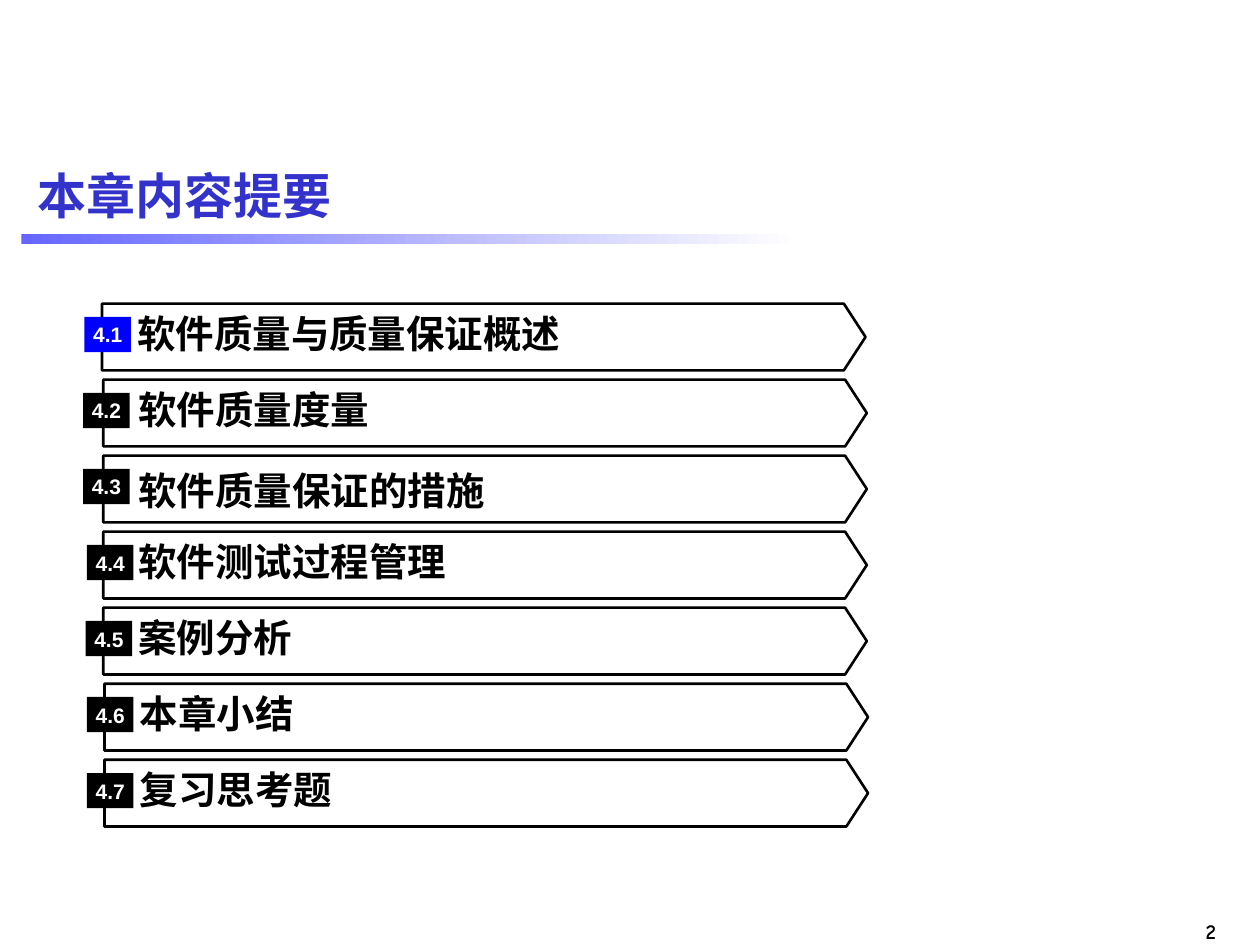
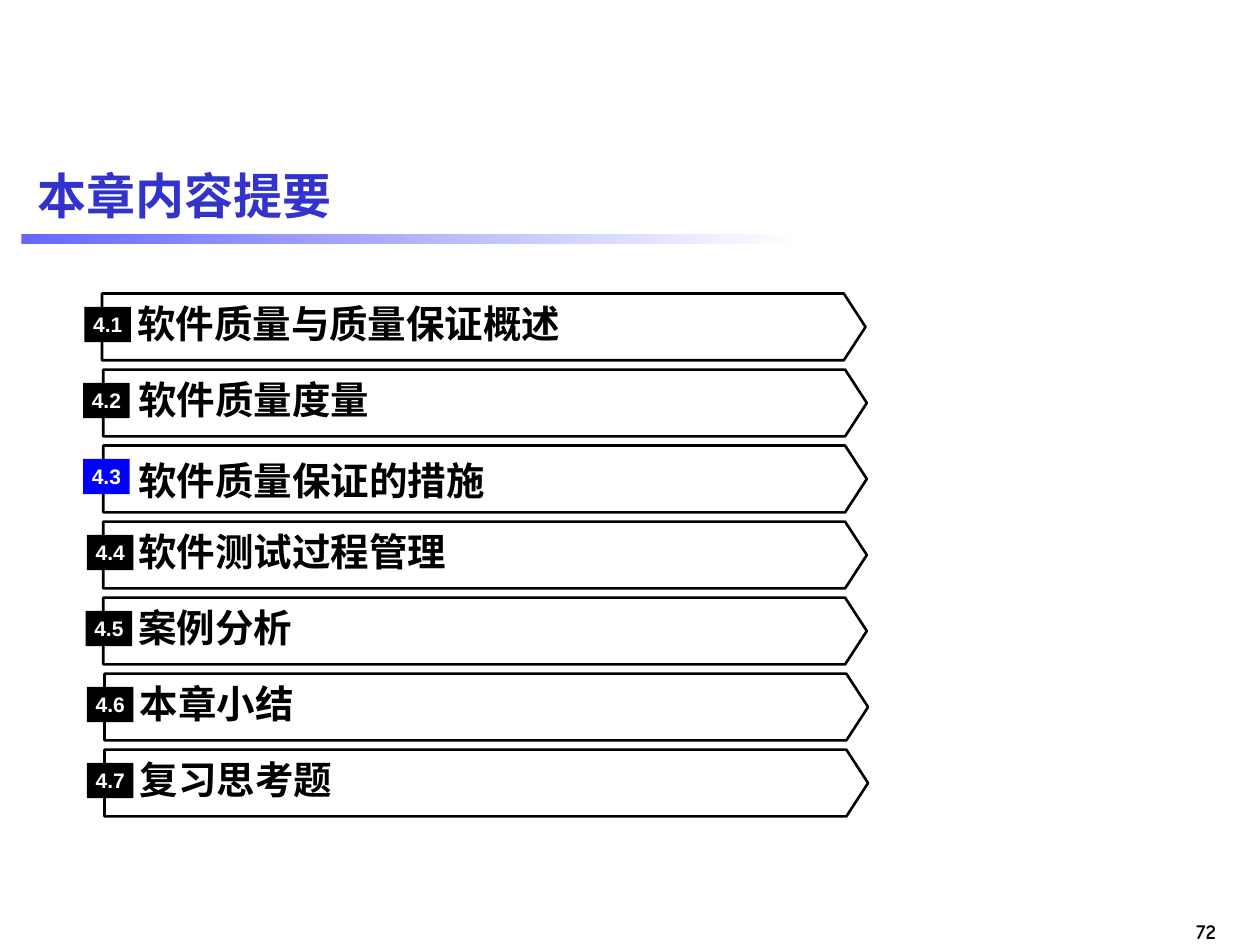
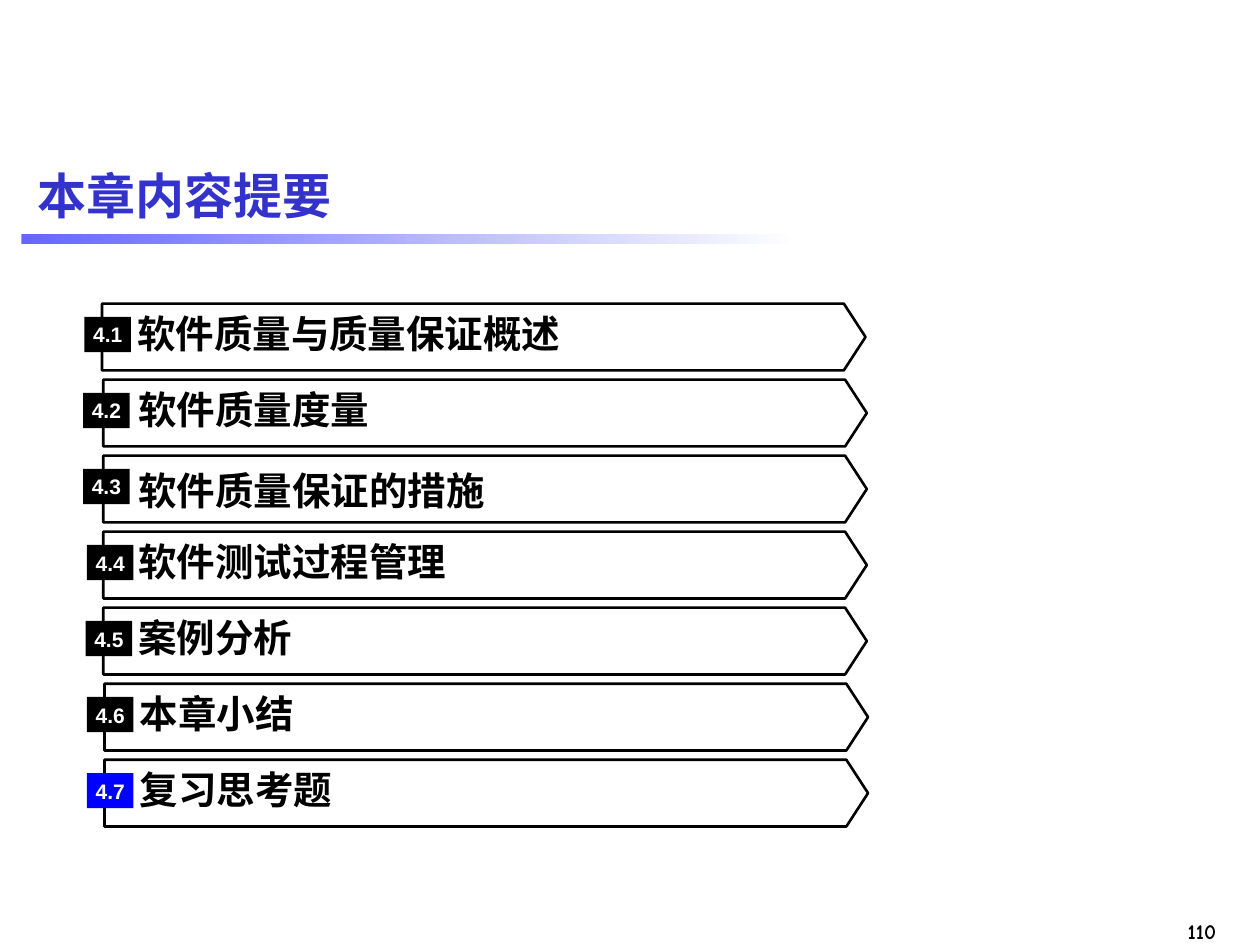
import pptx
import pptx.util
import pptx.dml.color
import pptx.enum.shapes
import pptx.enum.text
import pptx.oxml
import pptx.oxml.ns

TITLE = "本章内容提要"
SECTIONS = [
    {"number": "4.1", "name": "软件质量与质量保证概述", "font": "Noto Sans CJK SC", "bar": 0.81, "badge": 0.67, "shift": -0.03},
    {"number": "4.2", "name": "软件质量度量", "font": "Times New Roman", "bar": 0.82, "badge": 0.66, "shift": -0.03},
    {"number": "4.3", "name": "软件质量保证的措施", "font": "Times New Roman", "bar": 0.82, "badge": 0.66, "shift": 0.01},
    {"number": "4.4", "name": "软件测试过程管理", "font": "Times New Roman", "bar": 0.82, "badge": 0.69, "shift": -0.03},
    {"number": "4.5", "name": "案例分析", "font": "Times New Roman", "bar": 0.82, "badge": 0.68, "shift": -0.03},
    {"number": "4.6", "name": "本章小结", "font": "Times New Roman", "bar": 0.83, "badge": 0.69, "shift": -0.03},
    {"number": "4.7", "name": "复习思考题", "font": "Times New Roman", "bar": 0.83, "badge": 0.69, "shift": -0.03},
]
PAGES = [
    {"number": "2", "current": "4.1", "top": 2.41},
    {"number": "72", "current": "4.3", "top": 2.33},
    {"number": "110", "current": "4.7", "top": 2.41},
]

COLORS = {"title": "3333CC", "band": "6666FF", "current": "0000FF", "ink": "000000", "paper": "FFFFFF"}
CJK_FONT = "Noto Sans CJK SC"
ROW_PITCH = 3.62 / (len(SECTIONS) - 1)
BAR_WIDTH, BAR_HEIGHT = 6.06, 0.53
LABEL_INDENT, LABEL_WIDTH, LABEL_HEIGHT = 0.28, 5.38, 0.37
BADGE_WIDTH, BADGE_HEIGHT, BADGE_SHIFT = 0.37, 0.28, -0.02

SHAPES = pptx.enum.shapes.MSO_SHAPE
ALIGN = pptx.enum.text.PP_ALIGN


def color(name):
    return pptx.dml.color.RGBColor.from_string(COLORS[name])


def inches(*lengths):
    return [pptx.util.Inches(length) for length in lengths]


def write(box, text, font, size, ink, align=ALIGN.LEFT, inset=True):
    frame = box.text_frame
    frame.word_wrap = True
    frame.auto_size = pptx.enum.text.MSO_AUTO_SIZE.NONE
    frame.vertical_anchor = pptx.enum.text.MSO_ANCHOR.MIDDLE
    if not inset:
        frame.margin_left = frame.margin_top = frame.margin_right = frame.margin_bottom = 0
    para = frame.paragraphs[0]
    para.alignment = align
    span = para.add_run()
    span.text = text
    span.font.name = font
    span.font.size = pptx.util.Pt(size)
    span.font.bold = True
    span.font.color.rgb = color(ink)
    east_asian = pptx.oxml.parse_xml(
        f'<a:ea {pptx.oxml.ns.nsdecls("a")} typeface="{CJK_FONT}"/>')
    span.font._element.find(pptx.oxml.ns.qn("a:latin")).addnext(east_asian)


def add_shape(page, kind, place):
    shape = page.shapes.add_shape(kind, *inches(*place))
    shape.shadow.inherit = False
    shape.line.fill.background()
    return shape


def add_band(page, layout):
    band = add_shape(page, SHAPES.RECTANGLE, (0.17, 1.86, 6.17, 0.08))
    band.fill.gradient()
    band.fill.gradient_angle = 0
    for stop, position, name in zip(band.fill.gradient_stops, (0, 1), ("band", "paper")):
        stop.position = position
        stop.color.rgb = color(name)
    layout.element.cSld.spTree.append(band.element)


def add_title(page):
    title = page.shapes.title
    title.left, title.top, title.width, title.height = inches(0.2, 1.15, 9.61, 0.79)
    write(title, TITLE, "Arial", 28, "title")


def add_section(page, section, top, is_current):
    middle = top + BAR_HEIGHT / 2
    bar = add_shape(page, SHAPES.PENTAGON, (section["bar"], top, BAR_WIDTH, BAR_HEIGHT))
    bar.adjustments[0] = 0.325
    bar.fill.background()
    bar.line.color.rgb = color("ink")
    bar.line.width = pptx.util.Pt(1.5)

    label_top = middle + section["shift"] - LABEL_HEIGHT / 2
    label = page.shapes.add_textbox(
        *inches(section["bar"] + LABEL_INDENT, label_top, LABEL_WIDTH, LABEL_HEIGHT))
    write(label, section["name"], section["font"], 22, "ink", inset=False)

    badge_top = middle + BADGE_SHIFT - BADGE_HEIGHT / 2
    badge = add_shape(page, SHAPES.RECTANGLE,
                      (section["badge"], badge_top, BADGE_WIDTH, BADGE_HEIGHT))
    badge.fill.solid()
    badge.fill.fore_color.rgb = color("current" if is_current else "ink")
    write(badge, section["number"], "Arial", 12, "paper", ALIGN.CENTER, inset=False)


def main():
    deck = pptx.Presentation()
    deck.slide_width, deck.slide_height = inches(10, 7.5)
    layout = deck.slide_layouts.get_by_name("Title Only")
    for index, content in enumerate(PAGES):
        page = deck.slides.add_slide(layout)
        if index == 0:
            add_band(page, layout)
        add_title(page)
        for row, section in enumerate(SECTIONS):
            add_section(page, section, content["top"] + row * ROW_PITCH,
                        section["number"] == content["current"])
        footer = page.shapes.add_textbox(*inches(9.2, 7.24, 0.55, 0.3))
        write(footer, content["number"], "Comic Neue", 12, "ink", ALIGN.RIGHT)
    deck.save("out.pptx")


if __name__ == "__main__":
    main()
